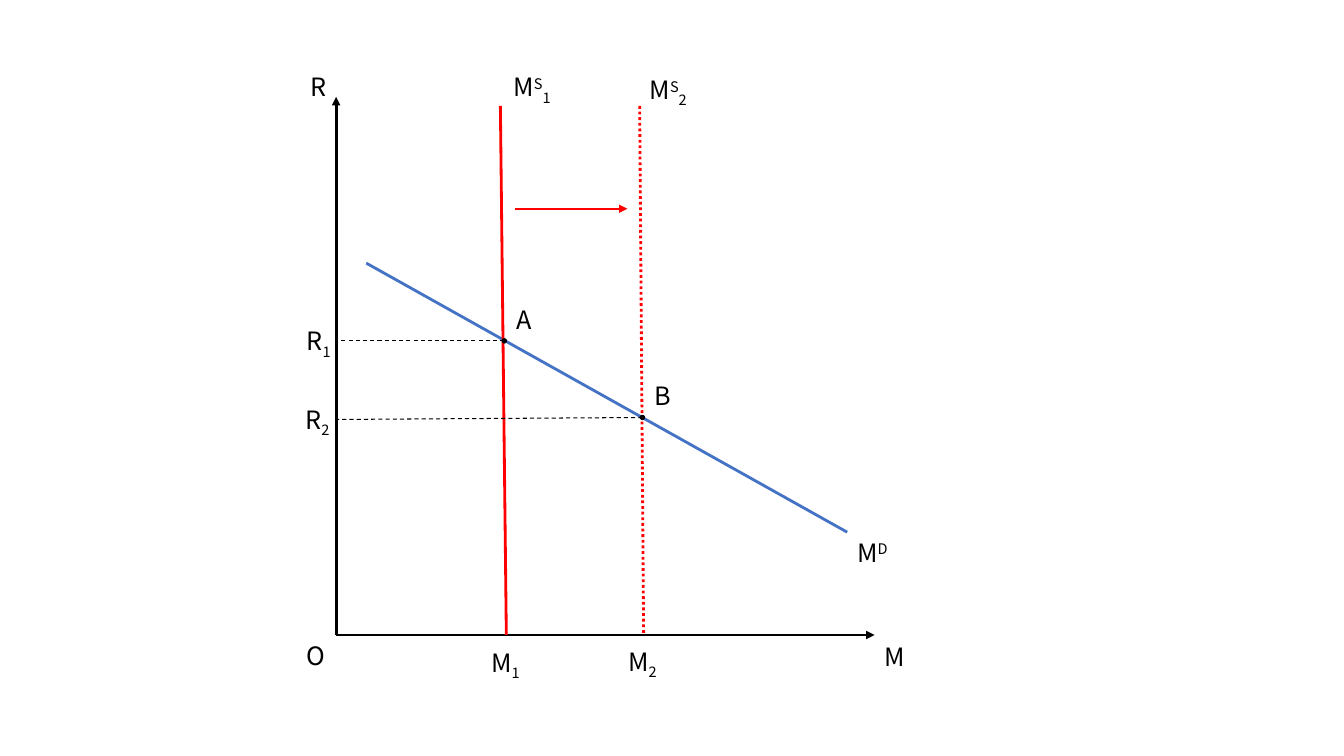
from lxml.etree import SubElement
from pptx import Presentation
from pptx.dml.color import RGBColor
from pptx.enum.dml import MSO_LINE_DASH_STYLE as Dash
from pptx.enum.shapes import MSO_CONNECTOR as Connector, MSO_SHAPE as Shape
from pptx.enum.text import MSO_AUTO_SIZE as AutoSize
from pptx.oxml.ns import qn
from pptx.util import Cm, Pt

BLACK, RED, BLUE = "000000", "FF0000", "4472C4"
LABEL_FONT = {"name": "Noto Sans CJK SC", "size": Pt(18)}
LABEL_FRAME = {"word_wrap": False, "auto_size": AutoSize.SHAPE_TO_FIT_TEXT}
LABEL_HEIGHT = 1.02
DOT_SIZE = 0.1
SUPERSCRIPT, SUBSCRIPT = 30000, -25000


def apply_format(target, values):
    for name, value in values.items():
        setattr(target, name, value)


def color(hex_string):
    return RGBColor.from_string(hex_string)


def add_line(slide, box, start, end, hex_string, width, arrow=False, dash=None):
    """Draw a straight line between two points given in cm from the box corner."""
    left, top = box[:2]
    line = slide.shapes.add_connector(
        Connector.STRAIGHT,
        Cm(left + start[0]), Cm(top + start[1]),
        Cm(left + end[0]), Cm(top + end[1]))
    apply_format(line.line, {"width": Pt(width), "dash_style": dash})
    line.line.fill.solid()
    line.line.color.rgb = color(hex_string)
    if arrow:
        SubElement(line.line._get_or_add_ln(), qn("a:tailEnd"), type="triangle")
    SubElement(line._element.spPr, qn("a:effectLst"))


def add_label(slide, box, position, width, base, superscript="", subscript=""):
    text_box = slide.shapes.add_textbox(
        Cm(box[0] + position[0]), Cm(box[1] + position[1]), Cm(width), Cm(LABEL_HEIGHT))
    apply_format(text_box.text_frame, LABEL_FRAME)
    paragraph = text_box.text_frame.paragraphs[0]
    for text, baseline in ((base, 0), (superscript, SUPERSCRIPT), (subscript, SUBSCRIPT)):
        if not text:
            continue
        run = paragraph.add_run()
        run.text = text
        apply_format(run.font, LABEL_FONT)
        run.font.color.rgb = color(BLACK)
        if baseline:
            run._r.get_or_add_rPr().set("baseline", str(baseline))


def add_dot(slide, box, center):
    dot = slide.shapes.add_shape(
        Shape.OVAL,
        Cm(box[0] + center[0] - DOT_SIZE / 2), Cm(box[1] + center[1] - DOT_SIZE / 2),
        Cm(DOT_SIZE), Cm(DOT_SIZE))
    dot.shadow.inherit = False
    dot.fill.solid()
    dot.fill.fore_color.rgb = color(BLACK)
    dot.line.color.rgb = color(BLACK)
    dot.line.width = Pt(1)


def add_axes(slide, box):
    width, height = box[2:]
    origin = (0, height)
    for end in ((0, 0), (width, height)):
        add_line(slide, box, origin, end, BLACK, 2, arrow=True)
    add_label(slide, box, (-0.89, -0.76), 0.89, "R")
    add_label(slide, box, (width, height + 0.03), 1.07, "M")
    add_label(slide, box, (-0.99, height), 0.99, "O")


def add_demand(slide, box):
    end = (12.88, 10.97)
    add_line(slide, box, (0.76, 4.19), end, BLUE, 2)
    add_label(slide, box, end, 1.37, "M", "D")


def add_supplies(slide, box):
    height = box[3]
    supplies = (
        ("1", 4.14, 4.29, None, (4.22, -0.76), (3.66, 13.74)),
        ("2", 7.65, 7.75, Dash.ROUND_DOT, (7.65, -0.69), (7.11, 13.72)),
    )
    for number, top_x, bottom_x, dash, curve_label, axis_label in supplies:
        add_line(slide, box, (top_x, 0.23), (bottom_x, height), RED, 2, dash=dash)
        add_label(slide, box, curve_label, 1.52, "M", "S", number)
        add_label(slide, box, axis_label, 1.3, "M", subscript=number)
    add_line(slide, box, (4.52, 2.82), (7.34, 2.82), RED, 1.5, arrow=True)


def add_equilibria(slide, box):
    equilibria = (
        ("A", "1", (4.24, 6.15), (0.03, 6.15), (4.29, 5.11), (-0.99, 5.64)),
        ("B", "2", (7.72, 8.08), (0, 8.13), (7.77, 7.01), (-1.02, 7.62)),
    )
    for name, number, center, axis_point, point_label, rate_label in equilibria:
        add_line(slide, box, center, axis_point, BLACK, 0.75, dash=Dash.DASH)
        add_dot(slide, box, center)
        add_label(slide, box, point_label, 0.9, name)
        add_label(slide, box, rate_label, 1.12, "R", subscript=number)


def add_money_market(slide, box):
    """Place the diagram; box is left, top, width and height of the axes in cm."""
    for add_part in (add_axes, add_demand, add_supplies, add_equilibria):
        add_part(slide, box)


def main():
    presentation = Presentation()
    presentation.slide_width, presentation.slide_height = Cm(33.87), Cm(19.05)
    slide = presentation.slides.add_slide(presentation.slide_layouts[6])
    add_money_market(slide, (8.47, 2.44, 13.57, 13.56))
    presentation.save("out.pptx")


if __name__ == "__main__":
    main()
